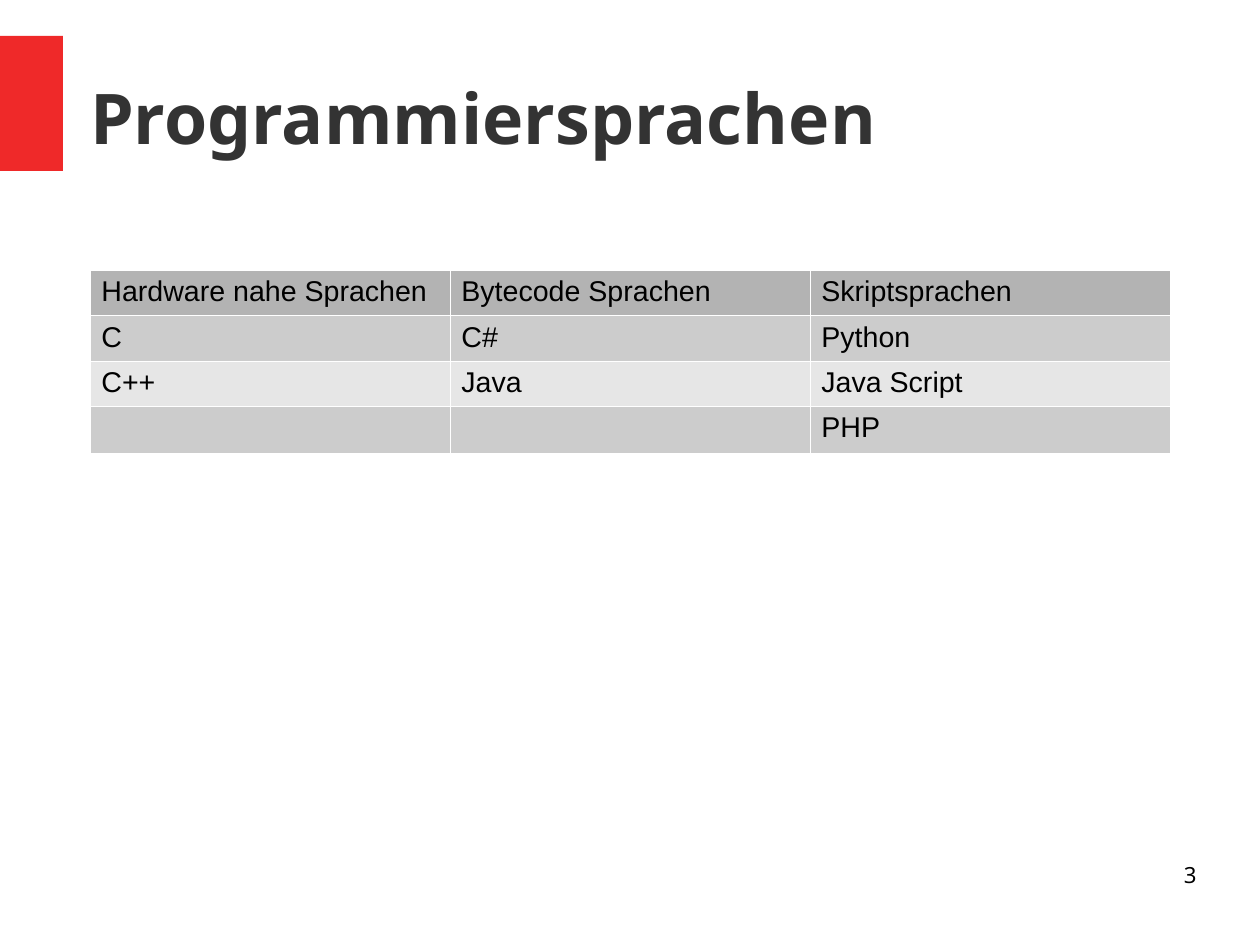
from lxml.etree import SubElement as Sub
from pptx import Presentation
from pptx.dml.color import RGBColor as RGB
from pptx.enum.shapes import MSO_SHAPE as Shape
from pptx.enum.text import MSO_ANCHOR as Anchor, MSO_AUTO_SIZE as Auto, PP_ALIGN as Align
from pptx.oxml.ns import qn
from pptx.util import Cm, Pt

TITLE = "Programmiersprachen"
ROWS = [
    ("Hardware nahe Sprachen", "Bytecode Sprachen", "Skriptsprachen"),
    ("C", "C#", "Python"),
    ("C++", "Java", "Java Script"),
    ("", "", "PHP"),
]
NUMBER = "3"

RED = RGB(0xEF, 0x29, 0x29)
DARK = RGB(0x33, 0x33, 0x33)
BLACK = RGB(0, 0, 0)
WHITE = RGB(255, 255, 255)
HEAD = RGB(0xB3, 0xB3, 0xB3)
BANDS = [RGB(0xE6, 0xE6, 0xE6), RGB(0xCC, 0xCC, 0xCC)]

WIDE, HIGH = 28, 21
LEFT, TOP = 2, 6
COL, ROW = 8, 1.01
EDGE = 0.06

BIG = {"size": Pt(44), "name": "Noto Sans", "bold": True}
CELL = {"size": Pt(18), "name": "Arial"}
SMALL = {"size": Pt(14), "name": "Noto Sans"}
FRAME = {"margin_left": 0, "margin_top": 0, "margin_right": 0, "margin_bottom": 0,
         "word_wrap": True, "auto_size": Auto.NONE}


def assign(item, values):
    for name, value in values.items():
        setattr(item, name, value)


def box(*sizes):
    return [Cm(size) for size in sizes]


def write(para, text, look, color):
    run = para.add_run()
    run.text = text
    assign(run.font, look)
    run.font.color.rgb = color


def border(cell):
    props = cell._tc.get_or_add_tcPr()
    for at, side in enumerate(("lnL", "lnR", "lnT", "lnB")):
        line = props.makeelement(qn("a:" + side), {"w": str(Pt(EDGE))})
        fill = Sub(line, qn("a:solidFill"))
        Sub(fill, qn("a:srgbClr"), val=str(WHITE))
        props.insert(at, line)


def main():
    deck = Presentation()
    assign(deck, {"slide_width": Cm(WIDE), "slide_height": Cm(HIGH)})
    slide = deck.slides.add_slide(deck.slide_layouts[5])
    shapes = slide.shapes

    title = shapes.title
    names = ("left", "top", "width", "height")
    assign(title, dict(zip(names, box(LEFT, 0.84, 24.6, 3.5))))
    assign(title.text_frame, FRAME | {"vertical_anchor": Anchor.MIDDLE})
    para = title.text_frame.paragraphs[0]
    para.alignment = Align.LEFT
    write(para, TITLE, BIG, DARK)

    bar = shapes.add_shape(Shape.RECTANGLE, *box(0, 0.8, 1.4, 3))
    bar.shadow.inherit = False
    bar.fill.solid()
    bar.fill.fore_color.rgb = RED
    bar.line.fill.background()

    rows, cols = len(ROWS), len(ROWS[0])
    table = shapes.add_table(rows, cols, *box(LEFT, TOP, cols * COL, rows * ROW)).table
    assign(table, {"first_row": False, "horz_banding": False})
    for r, words in enumerate(ROWS):
        for c, word in enumerate(words):
            cell = table.cell(r, c)
            cell.fill.solid()
            cell.fill.fore_color.rgb = BANDS[r % 2] if r else HEAD
            border(cell)
            if word:
                write(cell.text_frame.paragraphs[0], word, CELL, BLACK)

    page = shapes.add_textbox(*box(20.07, 19.13, 6.52, 1.45))
    assign(page.text_frame, FRAME)
    para = page.text_frame.paragraphs[0]
    para.alignment = Align.RIGHT
    write(para, NUMBER, SMALL, BLACK)

    deck.save("out.pptx")


if __name__ == "__main__":
    main()
